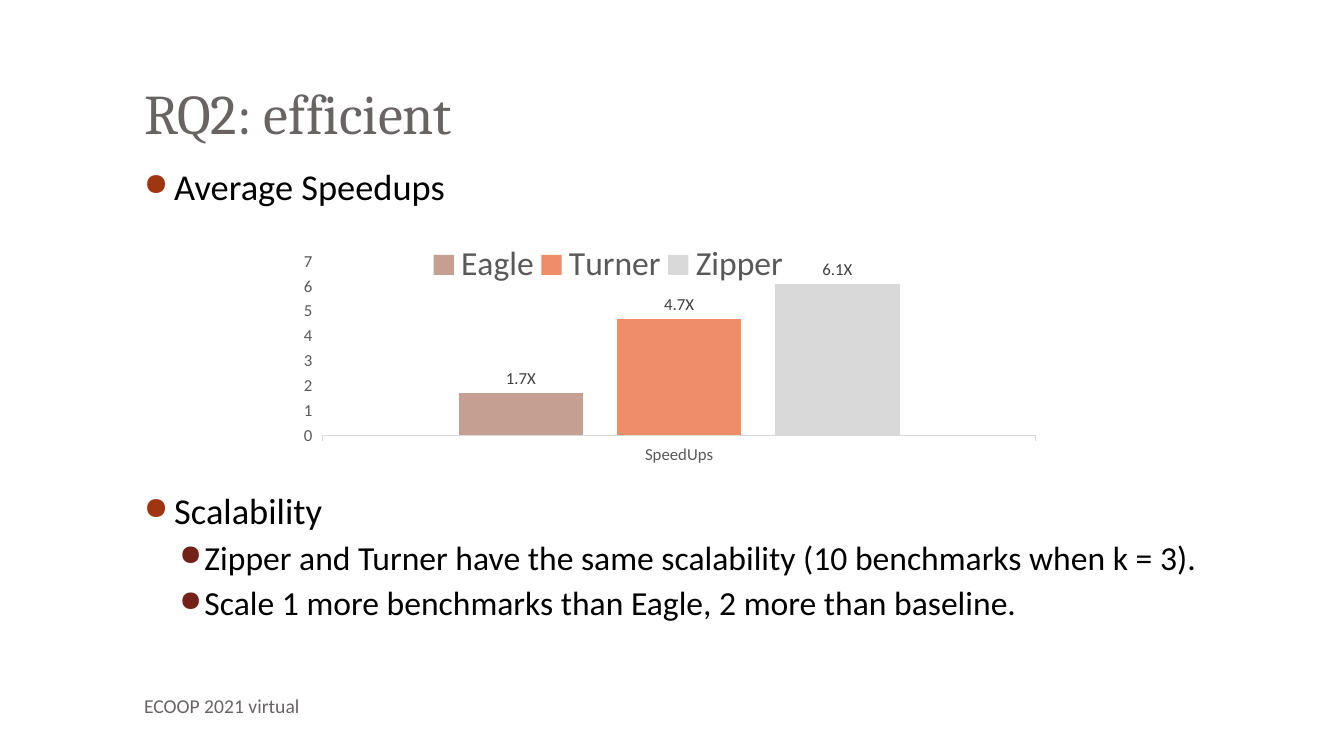
from lxml import etree
from pptx import Presentation
from pptx.chart.data import CategoryChartData
from pptx.dml.color import RGBColor
from pptx.enum.chart import XL_CHART_TYPE, XL_LABEL_POSITION, XL_LEGEND_POSITION
from pptx.enum.text import MSO_ANCHOR, PP_ALIGN
from pptx.oxml import parse_xml
from pptx.oxml.ns import nsdecls, qn
from pptx.util import Inches, Pt

COLUMN = XL_CHART_TYPE.COLUMN_CLUSTERED
OUTER = XL_LABEL_POSITION.OUTSIDE_END
TOP = XL_LEGEND_POSITION.TOP
BOTTOM, MIDDLE, UPPER = MSO_ANCHOR.BOTTOM, MSO_ANCHOR.MIDDLE, MSO_ANCHOR.TOP
LEFT = PP_ALIGN.LEFT

BLACK = RGBColor(0x00, 0x00, 0x00)
GRAY = RGBColor(0x69, 0x64, 0x64)
AXIS = RGBColor(0x59, 0x59, 0x59)
DARK = RGBColor(0x40, 0x40, 0x40)
PALE = RGBColor(0xD9, 0xD9, 0xD9)
ROSE = RGBColor(0xC4, 0x9F, 0x92)
CORAL = RGBColor(0xEF, 0x8C, 0x6A)
RUST = RGBColor(0x9E, 0x36, 0x11)
WINE = RGBColor(0x74, 0x22, 0x17)

LEVELS = [(0.3, -0.3, 26, RUST), (0.6, -0.25, 24, WINE)]
POINTS = [
    ("Average Speedups", 0, 5.8),
    ("Scalability", 0, 200),
    ("Zipper and Turner have the same scalability (10 benchmarks when k = 3).", 1, 3.7),
    ("Scale 1 more benchmarks than Eagle, 2 more than baseline.", 1, 3.7),
]
SPEEDS = [("Eagle", 1.7, ROSE), ("Turner", 4.7, CORAL), ("Zipper", 6.1, PALE)]


class Deck:
    """Holds the style and the current slide, and adds each kind of element."""

    head = "Cambria"
    body = "Calibri"

    def __init__(self):
        self.prs = Presentation()
        self.prs.slide_width = Inches(13.33)
        self.prs.slide_height = Inches(7.5)
        self.slide = self.prs.slides.add_slide(self.prs.slide_layouts[5])

    def style(self, font, name, size, color):
        font.name = name
        font.size = Pt(size)
        font.color.rgb = color

    def place(self, shape, box):
        shape.left, shape.top, shape.width, shape.height = map(Inches, box)

    def title(self, text, box):
        shape = self.slide.shapes.title
        self.place(shape, box)
        frame = shape.text_frame
        frame.text = text
        frame.vertical_anchor = BOTTOM
        frame.margin_bottom = Inches(0.1)
        para = frame.paragraphs[0]
        para.alignment = LEFT
        self.style(para.runs[0].font, self.head, 40, GRAY)

    def frame(self, box, anchor):
        frame = self.slide.shapes.add_textbox(*map(Inches, box)).text_frame
        frame.word_wrap = True
        frame.vertical_anchor = anchor
        return frame

    def note(self, text, box):
        frame = self.frame(box, MIDDLE)
        frame.text = text
        self.style(frame.paragraphs[0].runs[0].font, self.body, 14, GRAY)

    def bullets(self, points, box):
        frame = self.frame(box, UPPER)
        for num, (text, level, gap) in enumerate(points):
            para = frame.add_paragraph() if num else frame.paragraphs[0]
            para.text = text
            para.level = level
            para.space_before = Pt(gap)
            left, hang, size, color = LEVELS[level]
            self.style(para.runs[0].font, self.body, size, BLACK)
            self.bullet(para, left, hang, color)

    def bullet(self, para, left, hang, color):
        props = para._p.get_or_add_pPr()
        props.set("marL", str(Inches(left)))
        props.set("indent", str(Inches(hang)))
        tint = etree.SubElement(props, qn("a:buClr"))
        etree.SubElement(tint, qn("a:srgbClr"), val=str(color))
        etree.SubElement(props, qn("a:buSzPct"), val="85000")
        etree.SubElement(props, qn("a:buChar"), char="●")

    def layout(self, parent, index, box, inner=False):
        for old in parent.findall(qn("c:layout")):
            parent.remove(old)
        target = '<c:layoutTarget val="inner"/>' if inner else ""
        modes = "".join(f'<c:{key}Mode val="edge"/>' for key in "xy")
        sizes = "".join(f'<c:{key} val="{val}"/>' for key, val in zip("xywh", box))
        parent.insert(index, parse_xml(
            f'<c:layout {nsdecls("c")}><c:manualLayout>{target}{modes}{sizes}'
            "</c:manualLayout></c:layout>"))

    def chart(self, label, rows, box):
        data = CategoryChartData(number_format="0.0")
        data.categories = [label]
        for name, value, _ in rows:
            data.add_series(name, [value])
        chart = self.slide.shapes.add_chart(COLUMN, *map(Inches, box), data).chart
        chart.has_title = False
        self.style(chart.font, self.body, 10, BLACK)
        self.bars(chart.plots[0], rows)
        self.axes(chart)
        self.legend(chart)
        area = chart._chartSpace.chart.plotArea
        self.layout(area, 0, (0.099, 0.055, 0.901, 0.515), True)

    def bars(self, plot, rows):
        plot.gap_width = 219
        plot.overlap = -27
        plot.vary_by_categories = False
        for series, (_, _, color) in zip(plot.series, rows):
            series.format.fill.solid()
            series.format.fill.fore_color.rgb = color
            labels = series.data_labels
            labels.show_value = True
            labels.position = OUTER
            labels.number_format = '0.0"X"'
            labels.number_format_is_linked = False
            self.style(labels.font, self.body, 12, DARK)

    def axes(self, chart):
        base, scale = chart.category_axis, chart.value_axis
        for axis in (base, scale):
            axis.has_major_gridlines = False
            self.style(axis.tick_labels.font, self.body, 12, AXIS)
        base.format.line.color.rgb = PALE
        base.format.line.width = Pt(0.75)
        scale.format.line.fill.background()
        scale.minimum_scale, scale.maximum_scale = 0, 7
        scale.major_unit = 1
        scale.tick_labels.number_format = "0"
        scale.tick_labels.number_format_is_linked = False

    def legend(self, chart):
        chart.has_legend = True
        legend = chart.legend
        legend.position = TOP
        legend.include_in_layout = True
        self.style(legend.font, self.body, 24, AXIS)
        self.layout(legend._element, 1, (0.23, 0, 0.46, 0.13))


def main():
    deck = Deck()
    deck.title("RQ2: efficient", (1.33, 0.3, 11.33, 1.25))
    deck.bullets(POINTS, (1.33, 1.58, 11.33, 5))
    deck.note("ECOOP 2021 virtual", (1.33, 6.75, 5.78, 0.5))
    deck.chart("SpeedUps", SPEEDS, (2.42, 2.41, 7.86, 3.35))
    deck.prs.save("out.pptx")


if __name__ == "__main__":
    main()
